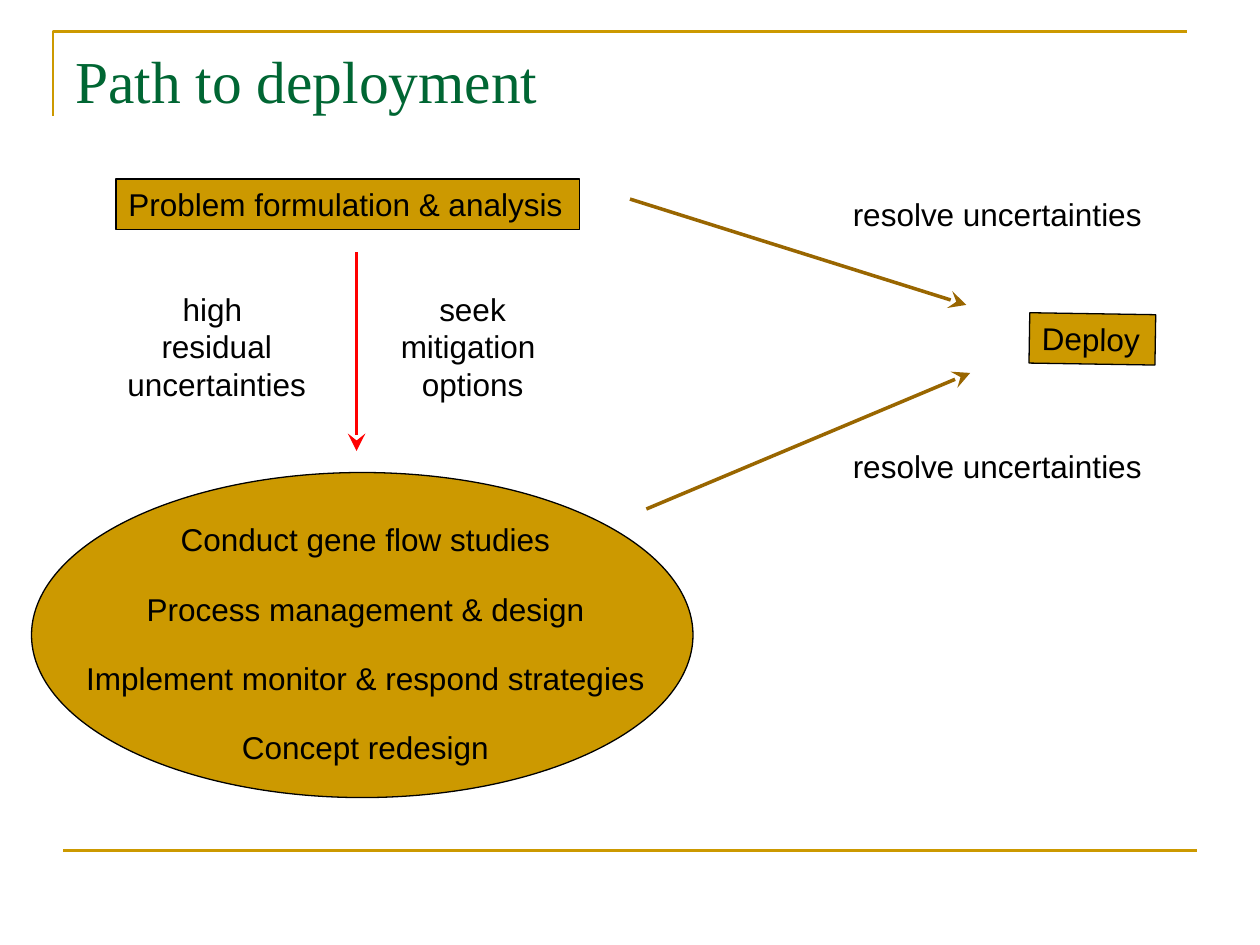
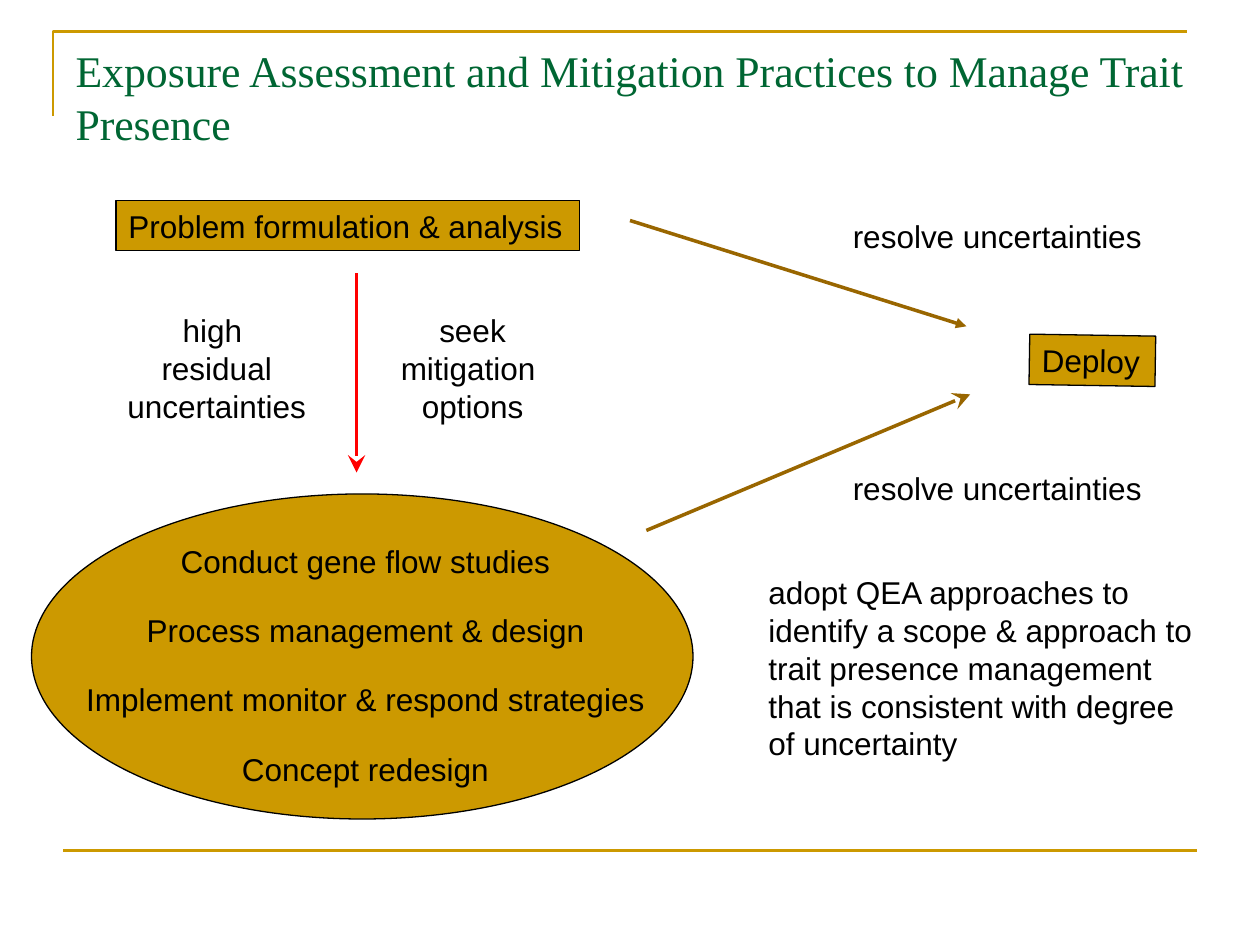
from dataclasses import dataclass

from lxml import etree
from pptx import Presentation
from pptx.dml.color import RGBColor
from pptx.enum.shapes import MSO_CONNECTOR, MSO_SHAPE
from pptx.enum.text import MSO_ANCHOR, MSO_AUTO_SIZE, PP_ALIGN
from pptx.oxml.ns import qn
from pptx.util import Inches, Pt

RECTANGLE, OVAL = MSO_SHAPE.RECTANGLE, MSO_SHAPE.OVAL
STRAIGHT = MSO_CONNECTOR.STRAIGHT
LEFT, CENTER = PP_ALIGN.LEFT, PP_ALIGN.CENTER
TOP = MSO_ANCHOR.TOP
FIT_SHAPE, NO_FIT = MSO_AUTO_SIZE.SHAPE_TO_FIT_TEXT, MSO_AUTO_SIZE.NONE
TITLE_ONLY = 5


@dataclass(frozen=True)
class Theme:
    gold: str = "CC9900"
    bronze: str = "996600"
    red: str = "FF0000"
    green: str = "006633"
    black: str = "000000"
    title_font: str = "Times New Roman"
    body_font: str = "Arial"
    body_size: float = 18
    frame_width: float = 1.5
    outline_width: float = 0.75
    arrow_width: float = 2


THEME = Theme()
STEALTH = {"type": "stealth", "w": "lg", "len": "lg"}
TRIANGLE = {"type": "triangle"}

SLIDES = [
    {"title": "Path to deployment", "title_size": 34, "drop": 0,
     "analysis_head": STEALTH, "advice": []},
    {"title": "Exposure Assessment and Mitigation Practices to Manage Trait Presence",
     "title_size": 25, "drop": 0.17, "analysis_head": TRIANGLE,
     "advice": ["adopt QEA approaches to identify a scope & approach to",
                "trait presence management that is consistent with degree of uncertainty"]},
]

ANALYSIS = ("Problem formulation & analysis", (0.92, 1.42, 3.68, 0.4))
DEPLOY = ("Deploy", (8.17, 2.49, 1, 0.4), 0.9)
MITIGATION_OVAL = (0.25, 3.75, 5.25, 2.58)
MITIGATION_STEPS = [
    ("Conduct gene flow studies", 3.18),
    ("Process management & design", 3.72),
    ("Implement monitor & respond strategies", 4.68),
    ("Concept redesign", 2.2),
]
STEP_AXIS, STEP_TOP, STEP_PITCH, STEP_HEIGHT = 2.9, 4.08, 0.55, 0.4
LABELS = [
    (["high ", "residual", "uncertainties"], (0.87, 2.25, 1.7, 1), CENTER),
    (["seek", "mitigation ", "options"], (3.04, 2.25, 1.42, 1), CENTER),
    (["resolve uncertainties"], (6.67, 1.5, 2.53, 0.4), LEFT),
    (["resolve uncertainties"], (6.67, 3.5, 2.53, 0.4), LEFT),
]
ADVICE_BOX = (6, 4.33, 3.6, 1.6)
ANALYSIS_ARROW = ((5, 1.58), (7.67, 2.42))
MITIGATION_ARROW = ((2.83, 2), (2.83, 3.58))
STUDIES_ARROW = ((5.13, 4.04), (7.7, 2.96))

TITLE_BOX = (0.5, 0.3, 9, 1.25)
CORNER = [(0.42, 0.92), (0.42, 0.25), (9.42, 0.25)]
FOOT_RULE = ((0.5, 6.75), (9.5, 6.75))


def inches(lengths):
    return [Inches(length) for length in lengths]


def lowered(place, drop):
    x, y, *size = place
    return (x, y + drop, *size)


def draw_line(line, colour, width):
    line.color.rgb = RGBColor.from_string(colour)
    line.width = Pt(width)


def write(frame, lines, size, font, colour, align=LEFT):
    for index, words in enumerate(lines):
        paragraph = frame.add_paragraph() if index else frame.paragraphs[0]
        paragraph.alignment = align
        run = paragraph.add_run()
        run.text = words
        run.font.size = Pt(size)
        run.font.name = font
        run.font.color.rgb = RGBColor.from_string(colour)


def write_body(shape, lines, align=LEFT, wrap=False):
    frame = shape.text_frame
    frame.word_wrap = wrap
    frame.auto_size = FIT_SHAPE
    frame.vertical_anchor = TOP
    write(frame, lines, THEME.body_size, THEME.body_font, THEME.black, align)


def add_gold_shape(canvas, kind, place, outlined=True):
    shape = canvas.add_shape(kind, *inches(place))
    shape.shadow.inherit = False
    shape.fill.solid()
    shape.fill.fore_color.rgb = RGBColor.from_string(THEME.gold)
    if outlined:
        draw_line(shape.line, THEME.black, THEME.outline_width)
    else:
        shape.line.fill.background()
    return shape


def add_line(canvas, ends, colour, width, head=None, drop=0):
    start, end = (lowered(point, drop) for point in ends)
    connector = canvas.add_connector(STRAIGHT, *inches(start + end))
    draw_line(connector.line, colour, width)
    if head:
        etree.SubElement(connector.line._get_or_add_ln(), qn("a:tailEnd"), head)
    etree.SubElement(connector._element.spPr, qn("a:effectLst"))
    return connector


def add_frame(slide):
    start, *turns = [inches(point) for point in CORNER]
    builder = slide.shapes.build_freeform(*start)
    builder.add_line_segments(turns, close=False)
    corner = builder.convert_to_shape()
    corner.shadow.inherit = False
    corner.fill.background()
    draw_line(corner.line, THEME.gold, THEME.frame_width)
    foot = add_line(slide.shapes, FOOT_RULE, THEME.gold, THEME.frame_width)
    for part in (corner, foot):
        slide.slide_layout.shapes._spTree.append(part._element)


def add_title(slide, words, size):
    title = slide.shapes.title
    title.left, title.top, title.width, title.height = inches(TITLE_BOX)
    frame = title.text_frame
    frame.auto_size = NO_FIT
    frame.vertical_anchor = TOP
    write(frame, [words], size, THEME.title_font, THEME.green)


def add_diagram(slide, drop, analysis_head, advice):
    canvas = slide.shapes.add_group_shape().shapes

    words, place = ANALYSIS
    write_body(add_gold_shape(canvas, RECTANGLE, lowered(place, drop)), [words])

    add_gold_shape(canvas, OVAL, lowered(MITIGATION_OVAL, drop))
    for row, (step, width) in enumerate(MITIGATION_STEPS):
        place = (STEP_AXIS - width / 2, STEP_TOP + drop + row * STEP_PITCH, width, STEP_HEIGHT)
        write_body(add_gold_shape(canvas, RECTANGLE, place, outlined=False), [step], CENTER)

    for ends, colour, head in [
        (ANALYSIS_ARROW, THEME.bronze, analysis_head),
        (MITIGATION_ARROW, THEME.red, STEALTH),
        (STUDIES_ARROW, THEME.bronze, STEALTH),
    ]:
        add_line(canvas, ends, colour, THEME.arrow_width, head, drop)

    words, place, tilt = DEPLOY
    deploy = add_gold_shape(canvas, RECTANGLE, lowered(place, drop))
    deploy.rotation = tilt
    write_body(deploy, [words])

    for lines, place, align in LABELS:
        write_body(canvas.add_textbox(*inches(lowered(place, drop))), lines, align)
    if advice:
        box = canvas.add_textbox(*inches(lowered(ADVICE_BOX, drop)))
        write_body(box, advice, wrap=True)


def main():
    deck = Presentation()
    deck.slide_width, deck.slide_height = Inches(10), Inches(7.5)
    for number, content in enumerate(SLIDES):
        slide = deck.slides.add_slide(deck.slide_layouts[TITLE_ONLY])
        if number == 0:
            add_frame(slide)
        add_title(slide, content["title"], content["title_size"])
        add_diagram(slide, content["drop"], content["analysis_head"], content["advice"])
    deck.save("out.pptx")


if __name__ == "__main__":
    main()
